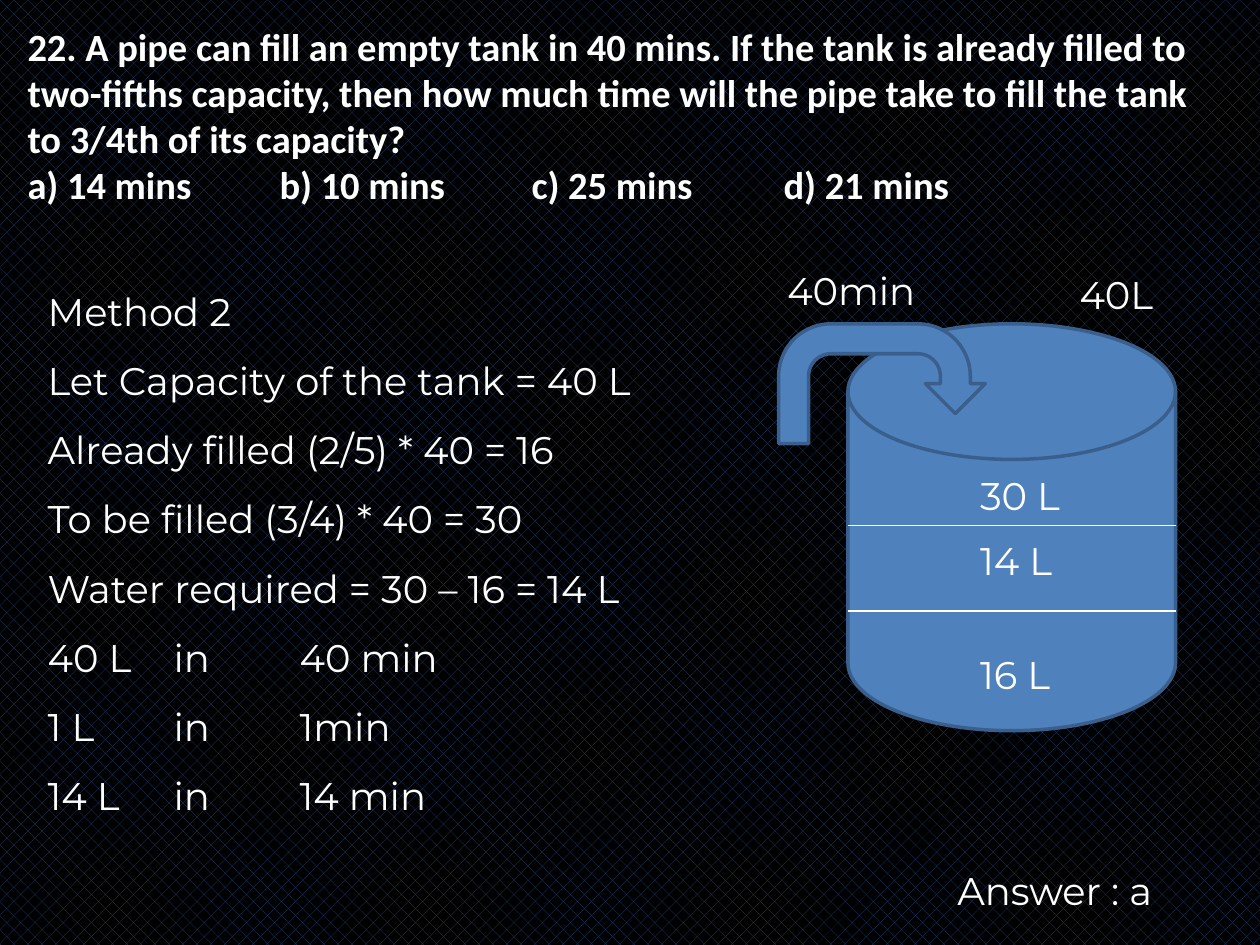
import pptx
import pptx.util
import pptx.dml.color
import pptx.enum.dml
import pptx.enum.shapes
import pptx.enum.text
import pptx.oxml.ns
import lxml.etree

Inches = pptx.util.Inches
Pt = pptx.util.Pt
qn = pptx.oxml.ns.qn
SHAPES = pptx.enum.shapes.MSO_SHAPE

QUESTION = [
    "22. A pipe can fill an empty tank in 40 mins. If the tank is already filled to "
    "two-fifths capacity, then how much time will the pipe take to fill the tank "
    "to 3/4th of its capacity?",
    "a) 14 mins\tb) 10 mins\tc) 25 mins\td) 21 mins",
]
SOLUTION = [
    "Method 2",
    "Let Capacity of the tank = 40 L",
    "Already filled (2/5) * 40 = 16",
    "To be filled (3/4) * 40 = 30",
    "Water required = 30 – 16 = 14 L",
    "40 L\tin\t40 min",
    "1 L\tin\t1min",
    "14 L\tin\t14 min",
]
LABELS = [
    ("40L", 8.47, 2.1, 0.86),
    ("40min", 6.15, 2.07, 1.28),
    ("Answer : a", 7.5, 6.83, 2.07),
]
LEVEL_LABELS = [("30 L", 3.7), ("14 L", 4.21), ("16 L", 5.12)]
LEVEL_LINES = [4.85, 4.17]
LEVEL_LEFT, LEVEL_WIDTH, LABEL_HEIGHT = 7.68, 0.98, 0.47
TANK = (6.73, 2.57, 2.6, 3.23)
PIPE = (6.18, 2.57, 1.64, 0.95)

THEME = {
    "text": "FFFFFF",
    "fill": "4F81BD",
    "outline": "3A5F8C",
    "pattern": "1F497D",
    "background": "000000",
    "size": 22,
    "heading_font": "Calibri",
    "body_font": "Montserrat",
}


def color(name):
    return pptx.dml.color.RGBColor.from_string(THEME[name])


def add_text(slide, lines, left, top, width, height, font="body_font",
             bold=False, spacing=None, tabs=()):
    box = slide.shapes.add_textbox(*map(Inches, (left, top, width, height)))
    frame = box.text_frame
    frame.word_wrap = True
    frame.auto_size = pptx.enum.text.MSO_AUTO_SIZE.SHAPE_TO_FIT_TEXT
    for index, line in enumerate(lines):
        paragraph = frame.paragraphs[0] if index == 0 else frame.add_paragraph()
        if spacing:
            paragraph.line_spacing = spacing
        if "\t" in line:
            properties = paragraph._p.get_or_add_pPr()
            tab_list = lxml.etree.SubElement(properties, qn("a:tabLst"))
            for position in tabs:
                lxml.etree.SubElement(tab_list, qn("a:tab"), pos=str(Inches(position)), algn="l")
        run = paragraph.add_run()
        run.text = line
        run.font.name = THEME[font]
        run.font.size = Pt(THEME["size"])
        run.font.bold = bold
        run.font.color.rgb = color("text")


def add_solid(slide, kind, place):
    shape = slide.shapes.add_shape(kind, *map(Inches, place))
    shape.shadow.inherit = False
    shape.fill.solid()
    shape.fill.fore_color.rgb = color("fill")
    shape.line.color.rgb = color("outline")
    shape.line.width = Pt(2)


def add_level(slide, left, right, height):
    connector = slide.shapes.add_connector(
        pptx.enum.shapes.MSO_CONNECTOR.STRAIGHT,
        Inches(left), Inches(height), Inches(right), Inches(height))
    connector.line.color.rgb = color("text")
    connector.line.width = Pt(0.75)
    lxml.etree.SubElement(connector._element.spPr, qn("a:effectLst"))


def main():
    presentation = pptx.Presentation()
    presentation.slide_width = Inches(10)
    presentation.slide_height = Inches(7.5)
    slide = presentation.slides.add_slide(presentation.slide_layouts[6])

    background = slide.background.fill
    background.patterned()
    background.pattern = pptx.enum.dml.MSO_PATTERN.PERCENT_25
    background.fore_color.rgb = color("pattern")
    background.back_color.rgb = color("background")

    add_solid(slide, SHAPES.FLOWCHART_MAGNETIC_DISK, TANK)
    for height in LEVEL_LINES:
        add_level(slide, TANK[0], TANK[0] + TANK[2], height)
    add_solid(slide, SHAPES.U_TURN_ARROW, PIPE)

    add_text(slide, QUESTION, 0.12, 0.13, 9.69, 1.58,
             font="heading_font", bold=True, tabs=(2, 4, 6))
    for text, left, top, width in LABELS:
        add_text(slide, [text], left, top, width, LABEL_HEIGHT)
    for text, top in LEVEL_LABELS:
        add_text(slide, [text], LEVEL_LEFT, top, LEVEL_WIDTH, LABEL_HEIGHT)
    add_text(slide, SOLUTION, 0.28, 2.05, 5.43, 5.1, spacing=1.5, tabs=(1, 2))

    presentation.save("out.pptx")


if __name__ == "__main__":
    main()
